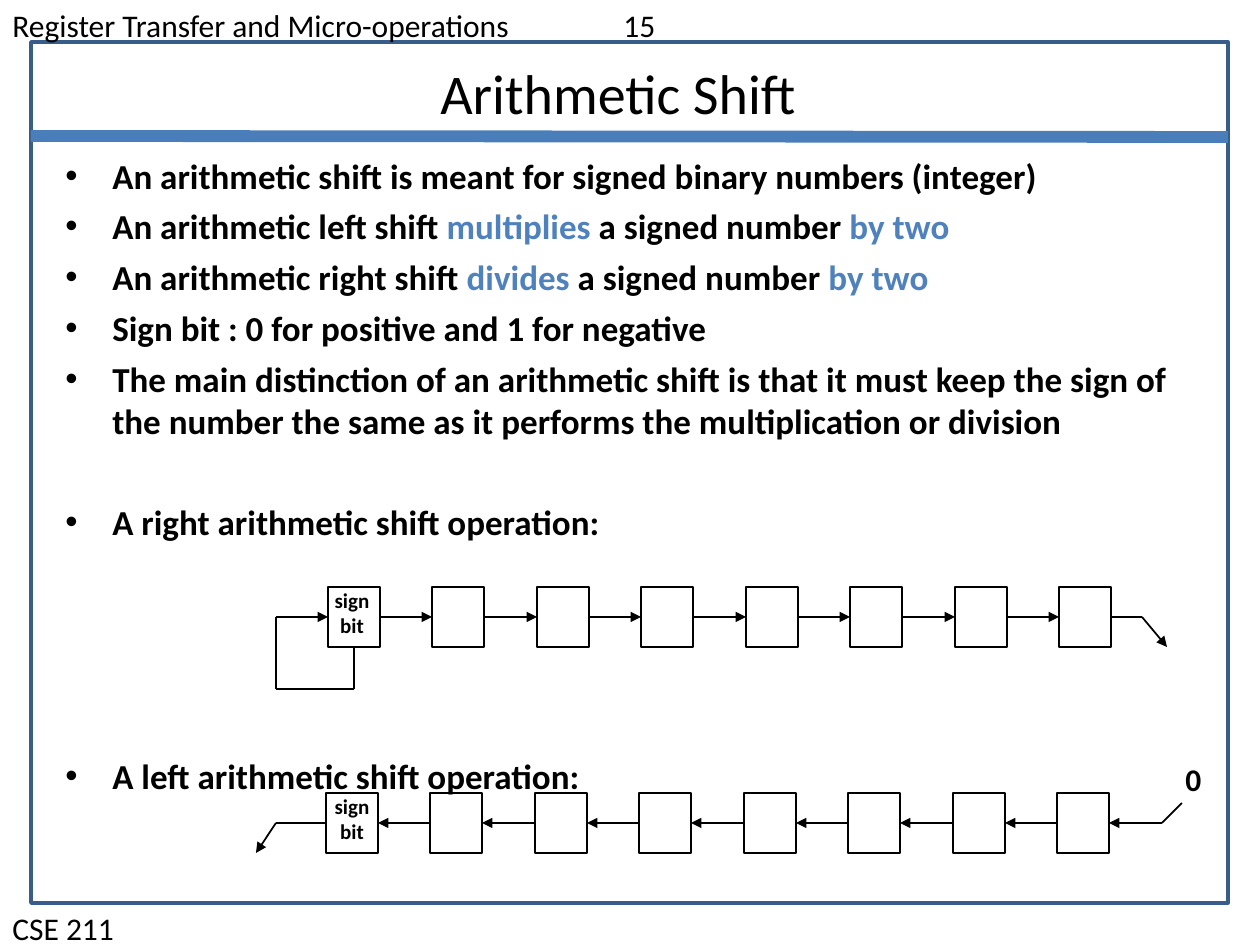
import dataclasses

import lxml.etree
import pptx
import pptx.dml.color
import pptx.enum.shapes
import pptx.enum.text
import pptx.oxml.ns
import pptx.util

ALIGN = pptx.enum.text.PP_ALIGN
FIT = pptx.enum.text.MSO_AUTO_SIZE
SHAPES = pptx.enum.shapes


@dataclasses.dataclass(frozen=True)
class Theme:
    font: str = "Calibri"
    ink: str = "000000"
    accent: str = "4F81BD"
    frame: str = "385D8A"
    rule: str = "4A7EBB"
    title: int = 32
    body: int = 20
    label: int = 18
    small: int = 12
    body_pitch: int = 29
    body_space: int = 5


def px(value):
    return pptx.util.Emu(round(value * 914400 / 126))


def rgb(value):
    return pptx.dml.color.RGBColor.from_string(value)


def apply(target, values):
    for name, value in values.items():
        setattr(target, name, value)


def add_xml(parent, tag, **attributes):
    return lxml.etree.SubElement(parent, pptx.oxml.ns.qn(tag), attributes)


class ShiftSlide:
    """Draws framed text and shift-register diagrams on one slide."""

    def __init__(self, slide, theme):
        self.slide = slide
        self.theme = theme

    def stroke(self, line, color, width):
        line.color.rgb = rgb(color)
        line.width = pptx.util.Pt(width)

    def rectangle(self, left, top, width, height, color, weight):
        shape = self.slide.shapes.add_shape(
            SHAPES.MSO_SHAPE.RECTANGLE, px(left), px(top), px(width), px(height))
        shape.shadow.inherit = False
        shape.fill.background()
        self.stroke(shape.line, color, weight)
        return shape

    def line(self, start, end, color=None, weight=1, arrow=False, begin=None, finish=None):
        connector = self.slide.shapes.add_connector(
            SHAPES.MSO_CONNECTOR.STRAIGHT, *map(px, start + end))
        self.stroke(connector.line, color or self.theme.ink, weight)
        if begin:
            connector.begin_connect(*begin)
        if finish:
            connector.end_connect(*finish)
        properties = connector._element.spPr
        if arrow:
            add_xml(properties.get_or_add_ln(), "a:tailEnd", type="triangle")
        add_xml(properties, "a:effectLst")

    def route(self, points, begin=None, finish=None):
        last = len(points) - 2
        for index, (start, end) in enumerate(zip(points, points[1:])):
            self.line(start, end, arrow=index == last,
                      begin=begin if index == 0 else None,
                      finish=finish if index == last else None)

    def run(self, paragraph, text, size, color=None, bold=False):
        run = paragraph.add_run()
        run.text = text
        apply(run.font, {"name": self.theme.font, "size": pptx.util.Pt(size), "bold": bold})
        run.font.color.rgb = rgb(color or self.theme.ink)

    def frame(self, left, top, width, height, wrap=True, fit=FIT.SHAPE_TO_FIT_TEXT):
        box = self.slide.shapes.add_textbox(px(left), px(top), px(width), px(height))
        apply(box.text_frame, {"word_wrap": wrap, "auto_size": fit})
        return box.text_frame

    def text(self, place, lines, size, bold=False, align=ALIGN.LEFT, wrap=True, tab=None):
        frame = self.frame(*place, wrap=wrap)
        for index, content in enumerate(lines):
            paragraph = frame.add_paragraph() if index else frame.paragraphs[0]
            paragraph.alignment = align
            self.run(paragraph, content, size, bold=bold)
            if tab:
                tabs = add_xml(paragraph._p.get_or_add_pPr(), "a:tabLst")
                add_xml(tabs, "a:tab", pos=str(px(tab)), algn="l")

    def bullets(self, place, items):
        theme = self.theme
        frame = self.frame(*place, fit=FIT.NONE)
        for index, (skipped_lines, pieces) in enumerate(items):
            paragraph = frame.add_paragraph() if index else frame.paragraphs[0]
            paragraph.space_before = pptx.util.Pt(
                theme.body_space + skipped_lines * theme.body_pitch)
            properties = paragraph._p.get_or_add_pPr()
            properties.set("marL", str(px(47)))
            properties.set("indent", str(-px(47)))
            add_xml(add_xml(properties, "a:buClr"), "a:srgbClr", val=theme.ink)
            add_xml(properties, "a:buFont", typeface="Arial")
            add_xml(properties, "a:buChar", char="•")
            for position, piece in enumerate(pieces):
                color = theme.accent if position % 2 else theme.ink
                self.run(paragraph, piece, theme.body, color, bold=True)

    def register(self, left, top, rightward):
        boxes = [self.rectangle(left + round(index * 731 / 7), top, 52, 60, self.theme.ink, 1)
                 for index in range(8)]
        for first, second in zip(boxes, boxes[1:]):
            ends = [(first, 3), (second, 1)]
            begin, finish = ends if rightward else reversed(ends)
            self.line((0, 0), (0, 0), arrow=True, begin=begin, finish=finish)
        self.text((312, top - 6, 80, 63), ["sign", "bit"], self.theme.small,
                  bold=True, align=ALIGN.CENTER)
        return boxes[0], boxes[-1]


def main():
    presentation = pptx.Presentation()
    apply(presentation, {"slide_width": px(1260), "slide_height": px(945)})
    theme = Theme()
    page = ShiftSlide(presentation.slides.add_slide(presentation.slide_layouts[6]), theme)

    page.rectangle(31, 42, 1197, 861, theme.frame, 2)
    page.text((0, 0, 1260, 52), ["Register Transfer and Micro-operations\t15"],
              theme.label, tab=611)
    page.text((0, 903, 1260, 50), ["CSE 211"], theme.label)
    page.line((31, 136), (1228, 137), theme.rule, 6.75)
    page.text((94, 52, 1061, 81), ["Arithmetic Shift "], theme.title, align=ALIGN.CENTER)

    page.bullets((53, 148, 1158, 723), [
        (0, ["An arithmetic shift is meant for signed binary numbers (integer)"]),
        (0, ["An arithmetic left shift", " multiplies", " a signed number ", "by two"]),
        (0, ["An arithmetic right shift ", "divides", " a signed number ", "by two"]),
        (0, ["Sign bit : 0 for positive and 1 for negative"]),
        (0, ["The main distinction of an arithmetic shift is that it must keep the sign of "
             "the number the same as it performs the multiplication or division"]),
        (1, ["A right arithmetic shift operation:"]),
        (4, ["A left arithmetic shift operation:"]),
    ])

    sign, lowest = page.register(328, 587, rightward=True)
    page.route([(354, 647), (354, 689), (276, 689), (276, 617), (328, 617)],
               begin=(sign, 2), finish=(sign, 1))
    page.route([(1111, 617), (1142, 617), (1167, 647)], begin=(lowest, 3))

    sign, lowest = page.register(326, 793, rightward=False)
    page.route([(1182, 803), (1162, 823), (1109, 823)], finish=(lowest, 3))
    page.text((1173, 754, 40, 50), ["0"], theme.label, bold=True, wrap=False)
    page.route([(326, 823), (276, 823), (256, 853)], begin=(sign, 1))

    presentation.save("out.pptx")


if __name__ == "__main__":
    main()
